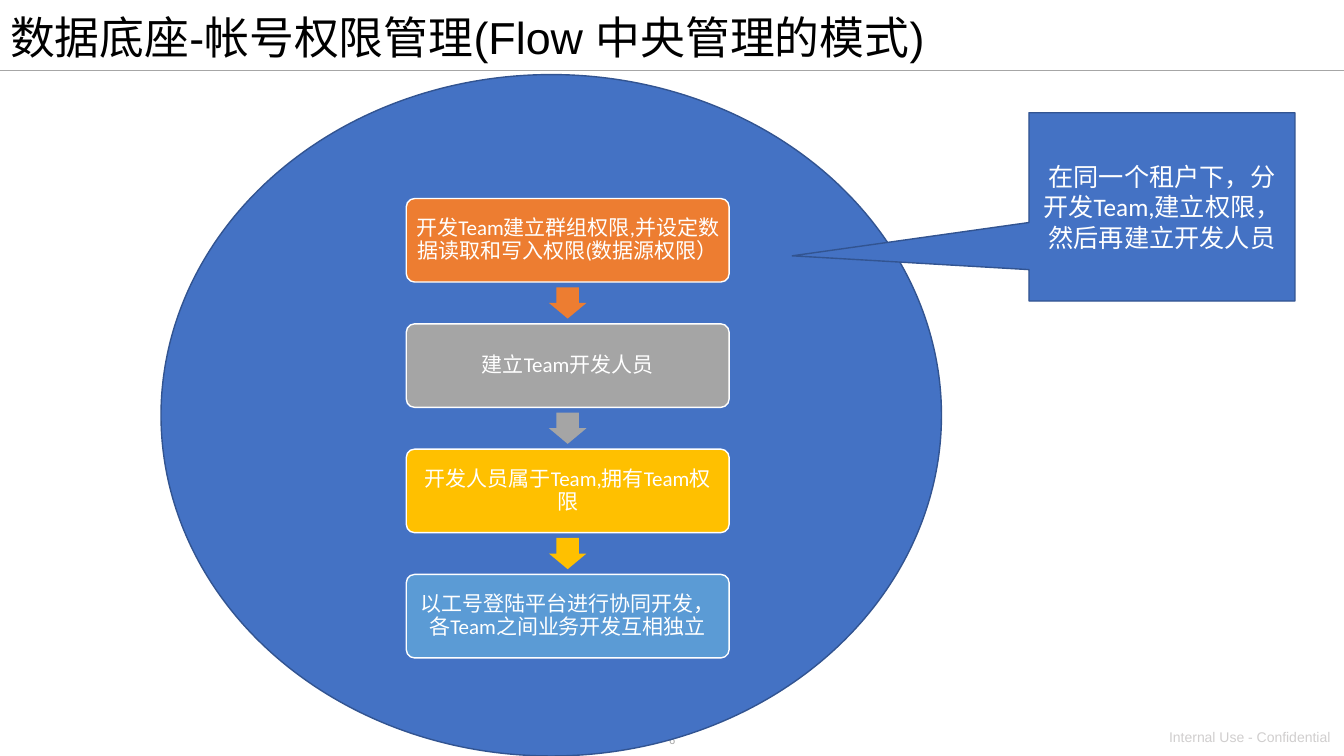
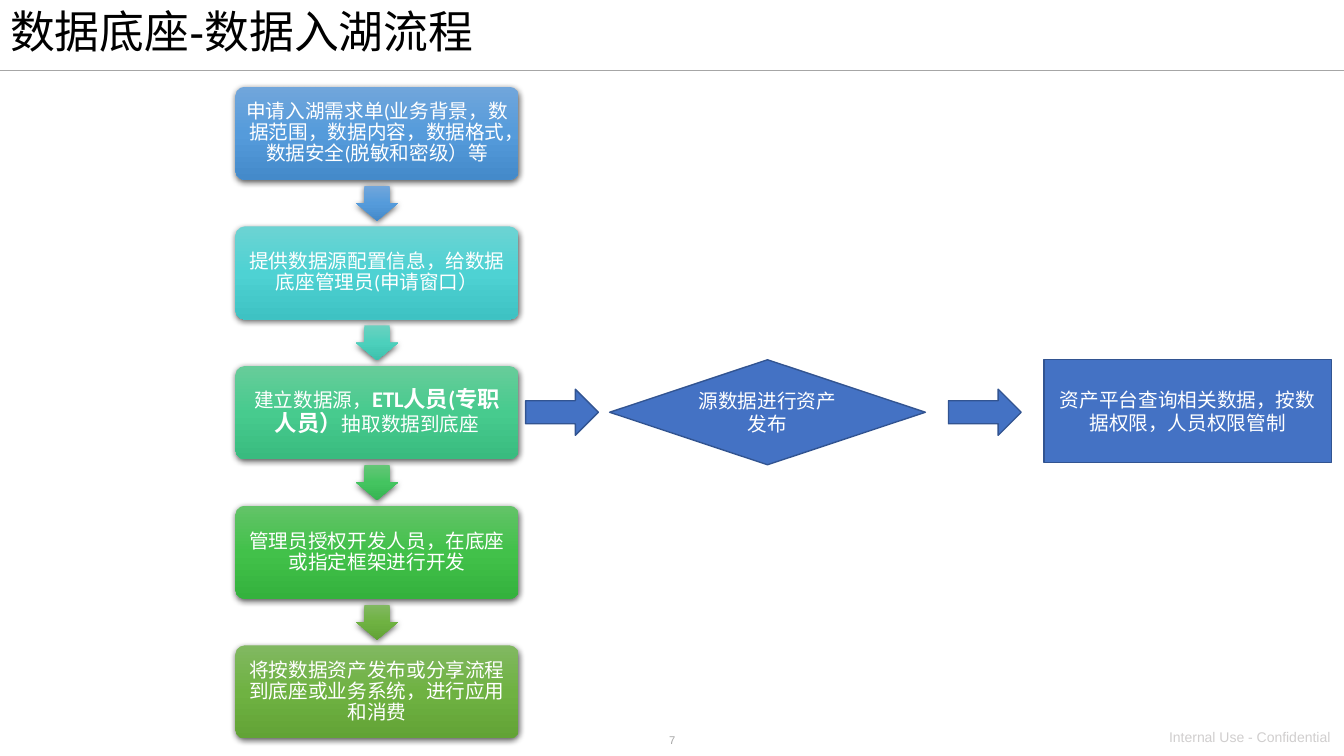
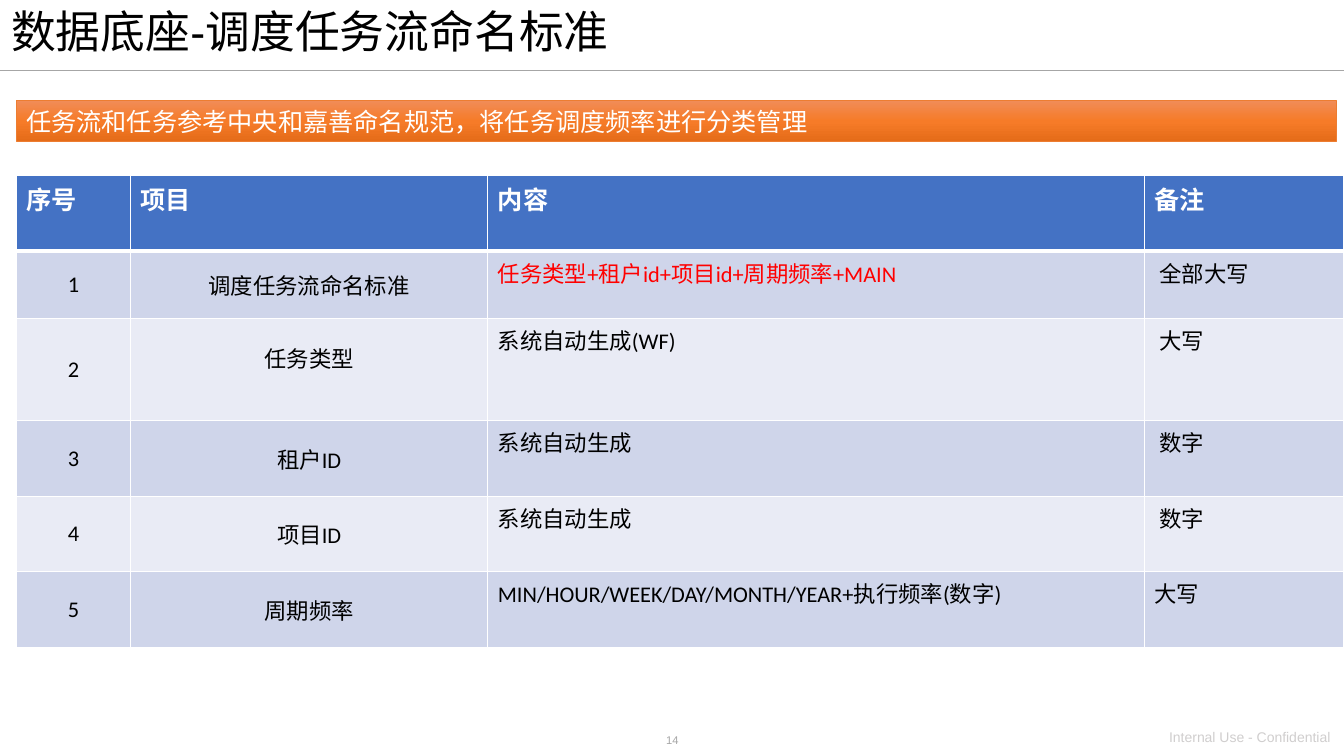
from copy import deepcopy
from dataclasses import dataclass

from lxml.etree import SubElement
from pptx import Presentation
from pptx.dml.color import RGBColor
from pptx.enum.shapes import MSO_CONNECTOR, MSO_SHAPE
from pptx.enum.text import MSO_ANCHOR, MSO_AUTO_SIZE, PP_ALIGN
from pptx.oxml.ns import qn
from pptx.util import Pt


@dataclass(frozen=True)
class Theme:
    title_font: str = "Arial"
    body_font: str = "Calibri"
    black: str = "000000"
    white: str = "FFFFFF"
    red: str = "FF0000"
    blue: str = "4472C4"
    blue_edge: str = "325491"
    orange: str = "ED7D31"
    gray: str = "A5A5A5"
    gold: str = "FFC000"
    sky: str = "5B9BD5"
    rule: str = "A6A6A6"
    footer: str = "D0CECE"
    band_dark: str = "CFD5EA"
    band_light: str = "E9EBF5"
    orange_shade: tuple = ("F18C57", "F67B28", "E56C19")
    sky_shade: tuple = ("71A6DB", "559BDB", "448ACA")
    cyan_shade: tuple = ("6CD3D3", "4ED2D3", "3EC2C3")
    teal_shade: tuple = ("6AD1C0", "4CD0BC", "3CC0AC")
    mint_shade: tuple = ("67CC9A", "47CB8E", "39BB7F")
    emerald_shade: tuple = ("64C677", "44C460", "36B552")
    green_shade: tuple = ("63C368", "42C14A", "34B23D")
    olive_shade: tuple = ("81B861", "6FB242", "62A336")
    title_size: int = 32
    large: int = 18
    medium: int = 16
    step_size: int = 15
    small: int = 14
    footer_size: int = 10
    number_size: int = 8


T = Theme()
SLIDE_W, SLIDE_H = 960, 540


def rgb(color):
    return RGBColor.from_string(color)


def box(left, top, width, height):
    return Pt(left), Pt(top), Pt(width), Pt(height)


def style_font(font, size, color, name=T.body_font, bold=False):
    font.name = name
    font.size = Pt(size)
    font.bold = bold
    font.color.rgb = rgb(color)


def write(tf, text, size, color=T.white, name=T.body_font,
          align=PP_ALIGN.CENTER, spacing=None):
    tf.word_wrap = True
    p = tf.paragraphs[0]
    p.alignment = align
    if spacing:
        p.line_spacing = spacing
    style_font(p.font, size, color, name)
    runs = [(text, None)] if isinstance(text, str) else text
    for content, bold_size in runs:
        r = p.add_run()
        r.text = content
        if bold_size:
            r.font.size = Pt(bold_size)
            r.font.bold = True


def paint(sp, fill):
    if isinstance(fill, str):
        sp.fill.solid()
        sp.fill.fore_color.rgb = rgb(fill)
        return
    sp.fill.gradient()
    sp.fill.gradient_angle = 270
    stops = sp._element.spPr.find(".//" + qn("a:gsLst"))
    stops.append(deepcopy(stops[-1]))
    for stop, color, position in zip(sp.fill.gradient_stops, fill, (0, 0.5, 1)):
        stop.color.rgb = rgb(color)
        stop.position = position


def add_box(s, kind, place, fill, edge=None, edge_width=1, adjust=()):
    sp = s.shapes.add_shape(kind, *box(*place))
    sp.shadow.inherit = False
    paint(sp, fill)
    if edge:
        sp.line.color.rgb = rgb(edge)
        sp.line.width = Pt(edge_width)
    else:
        sp.line.fill.background()
    for i, value in enumerate(adjust):
        sp.adjustments[i] = value
    sp.text_frame.vertical_anchor = MSO_ANCHOR.MIDDLE
    return sp


def add_soft_shadow(sp):
    effects = sp._element.spPr.find(qn("a:effectLst"))
    shadow = SubElement(effects, qn("a:outerShdw"), blurRad=str(Pt(4.5)),
                        dist=str(Pt(1.5)), dir="5400000", rotWithShape="0")
    color = SubElement(shadow, qn("a:srgbClr"), val=T.black)
    SubElement(color, qn("a:alpha"), val="63000")


def add_label(s, place, text, size, color, align):
    sp = s.shapes.add_textbox(*box(*place))
    write(sp.text_frame, text, size, color, T.title_font, align)


def add_slide(prs, title, number, left=0, top=0):
    s = prs.slides.add_slide(prs.slide_layouts[5])
    sp = s.shapes.title
    sp.left, sp.top, sp.width, sp.height = box(left, top, 758, 49)
    tf = sp.text_frame
    tf.auto_size = MSO_AUTO_SIZE.NONE
    tf.vertical_anchor = MSO_ANCHOR.MIDDLE
    write(tf, title, T.title_size, T.black, T.title_font, PP_ALIGN.LEFT, 0.9)
    rule = s.shapes.add_connector(MSO_CONNECTOR.STRAIGHT, Pt(0), Pt(50.4),
                                  Pt(SLIDE_W), Pt(50.4))
    rule.line.color.rgb = rgb(T.rule)
    rule.line.width = Pt(1)
    SubElement(rule._element.spPr, qn("a:effectLst"))
    add_label(s, (417, 520, 126.5, 17), str(number), T.number_size, T.rule,
              PP_ALIGN.CENTER)
    add_label(s, (828, 517, 133, 19.5), "Internal Use - Confidential",
              T.footer_size, T.footer, PP_ALIGN.LEFT)
    return s


def add_flow(s, left, top, width, pitch, size, steps, edge=None, shadow=False):
    height = pitch * 2 / 3
    gap = pitch - height
    arrow_w, arrow_h = gap * 0.9, gap * 0.75
    for i, (text, fill, arrow_fill) in enumerate(steps):
        y = top + i * pitch
        step = add_box(s, MSO_SHAPE.ROUNDED_RECTANGLE, (left, y, width, height),
                       fill, edge, adjust=(0.1,))
        tf = step.text_frame
        tf.margin_left = tf.margin_right = Pt(4.5)
        tf.margin_top = tf.margin_bottom = Pt(4.5)
        write(tf, text, size, spacing=0.9)
        parts = [step]
        if arrow_fill:
            place = (left + (width - arrow_w) / 2,
                     y + height + (gap - arrow_h) / 2, arrow_w, arrow_h)
            parts.append(add_box(s, MSO_SHAPE.DOWN_ARROW, place, arrow_fill,
                                 adjust=(0.6, 0.5)))
        if shadow:
            for part in parts:
                add_soft_shadow(part)


def set_borders(cell, top, bottom):
    tc_pr = cell._tc.get_or_add_tcPr()
    for side, width in (("L", 1), ("R", 1), ("T", top), ("B", bottom)):
        line = SubElement(tc_pr, qn("a:ln" + side), w=str(Pt(width)))
        SubElement(SubElement(line, qn("a:solidFill")), qn("a:srgbClr"), val=T.white)


def add_naming_table(s, left, top, widths, heights, rows):
    table = s.shapes.add_table(len(rows), len(widths), *box(
        left, top, sum(widths), sum(heights))).table
    for column, width in zip(table.columns, widths):
        column.width = Pt(width)
    for i, (row, height) in enumerate(zip(rows, heights)):
        table.rows[i].height = Pt(height)
        for j, text in enumerate(row):
            cell = table.cell(i, j)
            set_borders(cell, 3 if i == 1 else 1, 3 if i == 0 else 1)
            cell.fill.solid()
            p = cell.text_frame.paragraphs[0]
            p.text = text
            if i == 0:
                cell.fill.fore_color.rgb = rgb(T.blue)
                style_font(p.font, T.large, T.white, bold=True)
                continue
            band = T.band_dark if i % 2 else T.band_light
            cell.fill.fore_color.rgb = rgb(band)
            style_font(p.font, T.medium, T.red if (i, j) == (1, 2) else T.black)
            if j < 2:
                p.alignment = PP_ALIGN.CENTER
                cell.vertical_anchor = MSO_ANCHOR.MIDDLE
    return table


def build_permissions(prs):
    s = add_slide(prs, "数据底座-帐号权限管理(Flow 中央管理的模式)", 6, top=4.3)
    add_box(s, MSO_SHAPE.OVAL, (115, 53.3, 557.5, 486.7), T.blue, T.blue_edge)
    add_flow(s, 290.2, 141.8, 230.6, 89.5, T.step_size, [
        ("开发Team建立群组权限,并设定数据读取和写入权限(数据源权限）", T.orange, T.orange),
        ("建立Team开发人员", T.gray, T.gray),
        ("开发人员属于Team,拥有Team权限", T.gold, T.gold),
        ("以工号登陆平台进行协同开发，各Team之间业务开发互相独立", T.sky, None),
    ], edge=T.white)
    callout = add_box(s, MSO_SHAPE.RECTANGULAR_CALLOUT, (735, 80.5, 190, 134.5),
                      T.blue, T.blue_edge, adjust=(-1.39, 0.26))
    write(callout.text_frame, "在同一个租户下，分开发Team,建立权限，然后再建立开发人员",
          T.large)


def build_ingestion(prs):
    s = add_slide(prs, "数据底座-数据入湖流程", 7)
    add_flow(s, 168.2, 62, 202.3, 99.75, T.small, [
        ("申请入湖需求单(业务背景，数据范围，数据内容，数据格式，数据安全(脱敏和密级）等",
         T.sky_shade, T.sky_shade),
        ("提供数据源配置信息，给数据底座管理员(申请窗口）", T.cyan_shade, T.teal_shade),
        ([("建立数据源，", None), ("ETL人员(专职人员）", T.medium), ("抽取数据到底座", None)],
         T.mint_shade, T.emerald_shade),
        ("管理员授权开发人员，在底座或指定框架进行开发", T.green_shade, T.olive_shade),
        ("将按数据资产发布或分享流程到底座或业务系统，进行应用和消费", T.olive_shade, None),
    ], shadow=True)
    for kind, place, text in (
        (MSO_SHAPE.FLOWCHART_DECISION, (435.5, 257, 225.5, 75), "源数据进行资产发布"),
        (MSO_SHAPE.RECTANGLE, (745.7, 257, 205.3, 73.5),
         "资产平台查询相关数据，按数据权限，人员权限管制"),
    ):
        sp = add_box(s, kind, place, T.blue, T.blue_edge)
        write(sp.text_frame, text, T.small)
    for left in (375.5, 677.5):
        add_box(s, MSO_SHAPE.RIGHT_ARROW, (left, 278, 52, 33), T.blue, T.blue_edge)


def build_naming(prs):
    s = add_slide(prs, "数据底座-调度任务流命名标准", 14, left=0.7, top=-0.5)
    table = add_naming_table(
        s, 11.8, 125.5, (81.4, 255.3, 469, 142.5), (54, 48, 73, 54, 54, 54), [
            ("序号", "项目", "内容", "备注"),
            ("1", "调度任务流命名标准", "任务类型+租户id+项目id+周期频率+MAIN", "全部大写"),
            ("2", "任务类型", "系统自动生成(WF)", "大写"),
            ("3", "租户ID", "系统自动生成", "数字"),
            ("4", "项目ID", "系统自动生成", "数字"),
            ("5", "周期频率", "MIN/HOUR/WEEK/DAY/MONTH/YEAR+执行频率(数字)", "大写"),
        ])
    for i in range(1, 5):
        table.cell(i, 3).margin_left = Pt(10.8)
    table.cell(2, 1).margin_bottom = Pt(21)
    banner = add_box(s, MSO_SHAPE.RECTANGLE, (11.5, 72, 943, 29),
                     T.orange_shade, T.orange, 0.5)
    write(banner.text_frame, "任务流和任务参考中央和嘉善命名规范，将任务调度频率进行分类管理",
          T.large, align=PP_ALIGN.LEFT)


def main():
    prs = Presentation()
    prs.slide_width, prs.slide_height = Pt(SLIDE_W), Pt(SLIDE_H)
    build_permissions(prs)
    build_ingestion(prs)
    build_naming(prs)
    prs.save("out.pptx")


if __name__ == "__main__":
    main()
